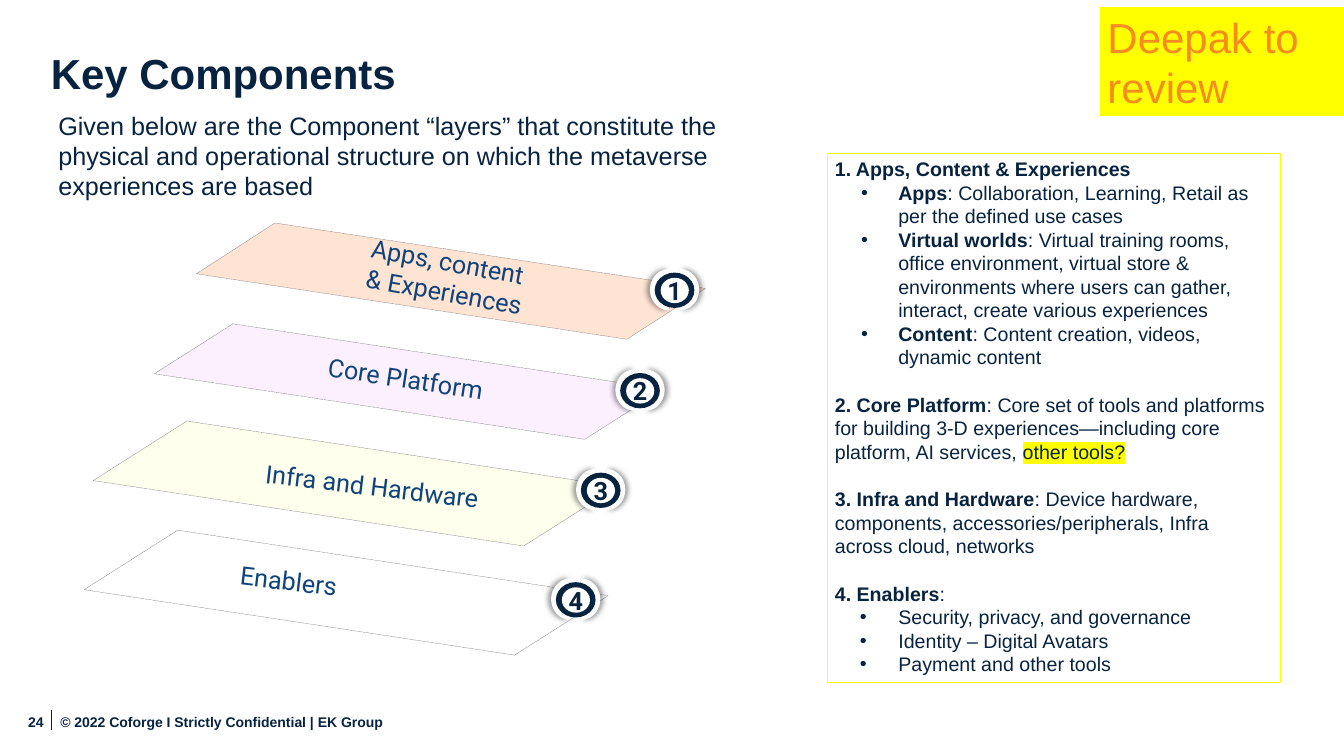
"""Build the Key Components slide with four stacked layers and their notes."""
from dataclasses import dataclass
from math import cos, pi, sin

from lxml import etree
from pptx import Presentation
from pptx import util as u
from pptx.dml.color import RGBColor
from pptx.enum import dml, shapes, text
from pptx.oxml import ns

NAVY = RGBColor(0x08, 0x23, 0x40)
BLUE = RGBColor(0x0F, 0x43, 0x7A)
WHITE = RGBColor(0xFF, 0xFF, 0xFF)
GREY = RGBColor(0x80, 0x80, 0x80)
YELLOW = RGBColor(0xFF, 0xFF, 0x00)
ORANGE = RGBColor(0xF6, 0x8B, 0x1F)
PEACH = RGBColor(0xFF, 0xE3, 0xD3)
LILAC = RGBColor(0xFC, 0xF0, 0xFF)
CREAM = RGBColor(0xFE, 0xFF, 0xEC)

MIDDLE = text.MSO_ANCHOR.MIDDLE
OVAL = shapes.MSO_SHAPE.OVAL
RECT = shapes.MSO_SHAPE.RECTANGLE
INSETS = (0.19, 0.1, 0.22, 0.1)


@dataclass
class Layer:
    label: str
    fill: RGBColor
    corner: tuple
    slant: tuple
    box: tuple
    turn: float
    badge: tuple


@dataclass
class Note:
    head: str = ""
    body: str = ""
    mark: str = ""
    dent: float = 0
    gap: float = 0


LAYERS = [
    Layer("Apps, content & Experiences", PEACH, (6.93, 5.62), (-1.98, 1.28),
          (9.02, 6.38, 4.85, 1.24), 10.2, (16.38, 6.78)),
    Layer("Core Platform", LILAC, (5.87, 8.16), (-1.98, 1.26),
          (8, 8.94, 4.85, 1.24), 8.7, (15.51, 9.31)),
    Layer("Infra and Hardware", CREAM, (4.71, 10.61), (-2.36, 1.5),
          (6.43, 11.66, 6.43, 1.24), 6.9, (14.52, 11.82)),
    Layer("Enablers", WHITE, (4.48, 13.36), (-2.36, 1.5),
          (5.79, 14.22, 6.43, 1.24), 6.9, (13.89, 14.58)),
]

NOTES = [
    Note("1. Apps, Content & Experiences"),
    Note("Apps", ": Collaboration, Learning, Retail as per the defined use cases", dent=0.94),
    Note("Virtual worlds", ": Virtual training rooms, office environment, virtual store & "
         "environments where users can gather, interact, create various experiences", dent=0.94),
    Note("Content", ": Content creation, videos, dynamic content", dent=0.94),
    Note("2. Core Platform", ": Core set of tools and platforms for building 3-D "
         "experiences—including core platform, AI services, ", "other tools?", gap=17),
    Note("3. Infra and Hardware", ": Device hardware, components, accessories/peripherals, "
         "Infra across cloud, networks", gap=17),
    Note("4. Enablers", ":", gap=17),
    Note(body="Security, privacy, and governance", dent=0.97),
    Note(body="Identity – Digital Avatars", dent=0.97),
    Note(body="Payment and other tools", dent=0.97),
]


def sub(parent, tag: str, **attrs):
    """Add a drawing element under a parent."""
    return etree.SubElement(parent, ns.qn(tag), attrs)


def put(para, words: str, *, size: float = 14, bold: bool = False, color: RGBColor = NAVY,
        font: str = "Arial", mark: bool = False) -> None:
    """Add one formatted run to a paragraph."""
    run = para.add_run()
    run.text = words
    run.font.size = u.Pt(size)
    run.font.bold = bold
    run.font.color.rgb = color
    if mark:
        glow = sub(run.font._element, "a:highlight")
        sub(glow, "a:srgbClr", val=str(YELLOW))
    run.font.name = font


def frame(shape, insets: tuple = (0.25, 0.13, 0.25, 0.13), anchor=MIDDLE, wrap: bool = True):
    """Set up the text frame of a shape and return it."""
    area = shape.text_frame
    area.word_wrap = wrap
    area.vertical_anchor = anchor
    (area.margin_left, area.margin_top,
     area.margin_right, area.margin_bottom) = map(u.Cm, insets)
    return area


def label(slide, box: tuple, words: str, *, insets: tuple = (0.25, 0.13, 0.25, 0.13),
          anchor=MIDDLE, turn: float = 0, space: float = 1,
          align=text.PP_ALIGN.LEFT, **look) -> None:
    """Place a one-paragraph text box."""
    shape = slide.shapes.add_textbox(*map(u.Cm, box))
    shape.rotation = turn
    para = frame(shape, insets, anchor).paragraphs[0]
    para.alignment = align
    para.line_spacing = space
    put(para, words, **look)


def paint(shape, fill: RGBColor):
    """Give a shape a flat fill with no line or shadow."""
    shape.shadow.inherit = False
    shape.fill.solid()
    shape.fill.fore_color.rgb = fill
    shape.line.fill.background()
    return shape


def block(home, kind, box: tuple, fill: RGBColor):
    """Add a flat preset shape."""
    return paint(home.add_shape(kind, *map(u.Cm, box)), fill)


def shape_of(home, points: list, fill: RGBColor):
    """Add a flat closed outline through the points."""
    dots = [(u.Cm(x), u.Cm(y)) for x, y in points]
    pen = home.build_freeform(*dots[0], scale=1.0)
    pen.add_line_segments(dots[1:], close=True)
    return paint(pen.convert_to_shape(), fill)


def sheet(slide, layer: Layer) -> None:
    """Draw one slanted layer."""
    x, y = layer.corner
    dx, dy = layer.slant
    wide, drop = 10.85, 1.65
    points = [(x, y), (x + wide, y + drop), (x + wide + dx, y + drop + dy), (x + dx, y + dy)]
    shape = shape_of(slide.shapes, points, layer.fill)
    shape.line.color.rgb = GREY
    shape.line.width = u.Pt(0.25)
    shape.line.dash_style = dml.MSO_LINE.ROUND_DOT


def badge(slide, spot: tuple, num: int) -> None:
    """Draw a numbered ring between two shaded half moons."""
    x, y = spot
    home = slide.shapes.add_group_shape().shapes
    for side, edge, way in ((-1, x + 0.48, 180), (1, x + 0.76, 0)):
        arc = [-pi / 2 + pi * i / 24 for i in range(25)]
        points = [(edge + side * 0.48 * cos(a), y + 0.52 + 0.52 * sin(a)) for a in arc]
        moon = shape_of(home, points, WHITE)
        glow = moon._element.spPr.find(ns.qn("a:effectLst"))
        shade = sub(glow, "a:outerShdw", blurRad=str(u.Pt(4)), dist=str(u.Pt(2)),
                    dir=str(way * 60000), algn="ctr", rotWithShape="0")
        sub(sub(shade, "a:srgbClr", val="000000"), "a:alpha", val="40000")
    block(home, OVAL, (x + 0.12, y + 0.09, 1, 0.89), NAVY)
    disc = block(home, OVAL, (x + 0.27, y + 0.22, 0.71, 0.64), WHITE)
    para = frame(disc, wrap=False).paragraphs[0]
    para.alignment = text.PP_ALIGN.CENTER
    put(para, str(num), size=18, bold=True, font="Roboto")


def panel(slide) -> None:
    """Draw the framed list of notes."""
    shape = block(slide.shapes, RECT, (20.85, 3.86, 11.42, 13.34), WHITE)
    shape.fill.background()
    shape.line.color.rgb = YELLOW
    shape.line.width = u.Pt(0.75)
    area = frame(shape, INSETS, text.MSO_ANCHOR.TOP)
    for i, note in enumerate(NOTES):
        para = area.add_paragraph() if i else area.paragraphs[0]
        para.alignment = text.PP_ALIGN.LEFT
        if note.dent:
            props = para._p.get_or_add_pPr()
            props.set("marL", str(u.Cm(1.6)))
            props.set("indent", str(-u.Cm(note.dent)))
            sub(props, "a:buFont", typeface="Arial")
            sub(props, "a:buChar", char="•")
        para.line_spacing = 1.0
        if note.gap:
            para.space_before = u.Pt(note.gap)
        for words, look in ((note.head, {"bold": True}), (note.body, {}),
                            (note.mark, {"mark": True})):
            if words:
                put(para, words, **look)


def main() -> None:
    """Build and save the slide."""
    deck = Presentation()
    deck.slide_width, deck.slide_height = u.Cm(33.87), u.Cm(19.05)
    slide = deck.slides.add_slide(deck.slide_layouts[6])

    label(slide, (1.28, 1.12, 31.29, 1.42), "Key Components", insets=(0, 0.18, 0, 0),
          space=0.9, size=30, bold=True)
    label(slide, (1.28, 2.67, 19.08, 2.49), "Given below are the Component “layers” that "
          "constitute the physical and operational structure on which the metaverse "
          "experiences are based", insets=INSETS, anchor=text.MSO_ANCHOR.TOP, size=18)
    for num, layer in enumerate(LAYERS, 1):
        sheet(slide, layer)
        label(slide, layer.box, layer.label, turn=layer.turn, size=18, color=BLUE, font="Roboto")
        badge(slide, layer.badge, num)
    panel(slide)

    flag = block(slide.shapes, RECT, (27.72, 0.18, 6.15, 2.74), YELLOW)
    para = frame(flag, INSETS).paragraphs[0]
    para.alignment = text.PP_ALIGN.LEFT
    put(para, "Deepak to review", size=30, color=ORANGE)

    rule = slide.shapes.add_connector(shapes.MSO_CONNECTOR.STRAIGHT,
                                      *map(u.Cm, (1.3, 17.88, 1.3, 18.39)))
    rule.line.color.rgb = NAVY
    rule.line.width = u.Pt(1)
    sub(rule._element.spPr, "a:effectLst")
    label(slide, (0, 17.78, 1.3, 0.84), "24", insets=(0, 0.13, 0.2, 0.13),
          align=text.PP_ALIGN.RIGHT, size=10, bold=True)
    label(slide, (1.52, 17.78, 11.43, 0.84), "© 2022 Coforge I Strictly Confidential | EK Group",
          insets=(0, 0.13, 0.25, 0.13), size=10, bold=True)
    deck.save("out.pptx")


if __name__ == "__main__":
    main()
